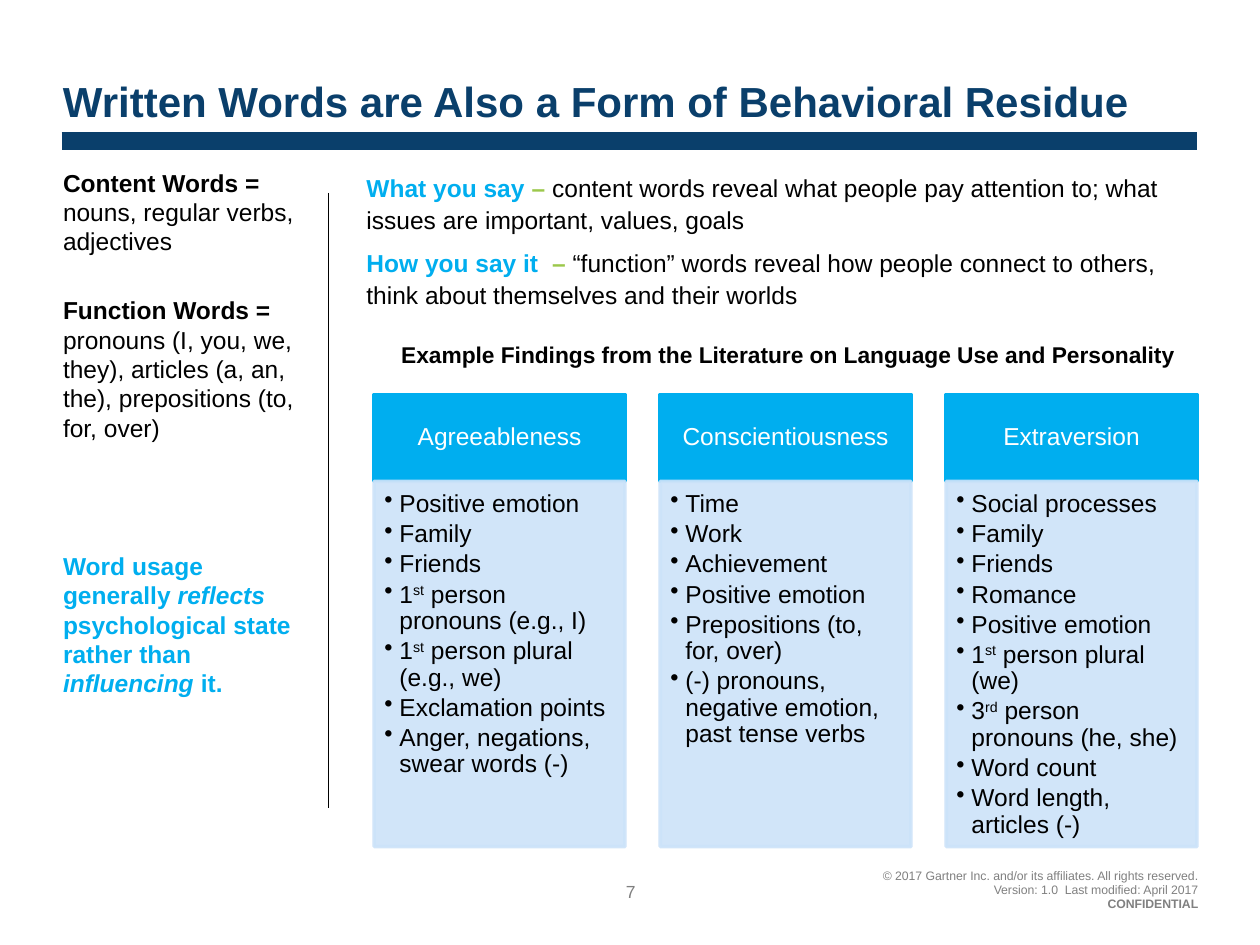
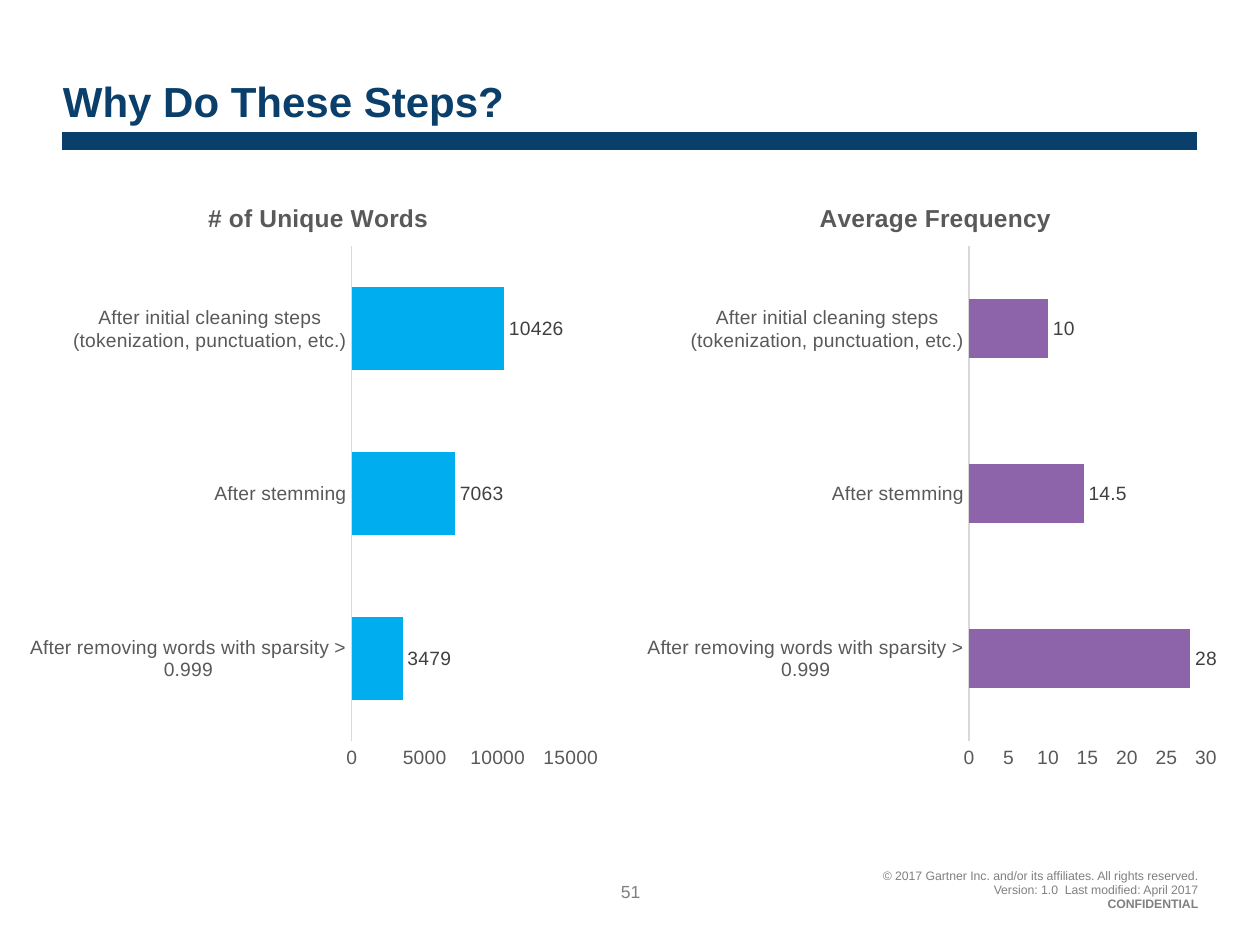
from lxml import etree
from pptx import Presentation
from pptx.chart.data import CategoryChartData
from pptx.dml.color import RGBColor
from pptx.enum.chart import XL_CHART_TYPE, XL_LABEL_POSITION, XL_TICK_MARK
from pptx.enum.shapes import MSO_CONNECTOR, MSO_SHAPE
from pptx.enum.text import MSO_ANCHOR, PP_ALIGN
from pptx.oxml import parse_xml
from pptx.oxml.ns import nsdecls, qn
from pptx.util import Inches, Pt

FONT = "Arial"
NAVY, CYAN, GREEN, PURPLE = "0A3F6B", "00AEEF", "9CC84B", "8D64AA"
PALE_BLUE, BLACK, WHITE = "CCE3F9", "000000", "FFFFFF"
GREY, PAGE_GREY, AXIS_GREY = "808080", "7F7F7F", "595959"
LABEL_GREY, RULE_GREY = "404040", "D9D9D9"

BOLD = {"bold": True}
ACCENT = {"bold": True, "color": CYAN}
ACCENT_ITALIC = {**ACCENT, "italic": True}
DASH = {"bold": True, "color": GREEN}
RAISED = {"raised": True}

TRAITS = [
    ("Agreeableness", [
        "Positive emotion", "Family", "Friends",
        [("1", {}), ("st", RAISED), (" person pronouns (e.g., I)", {})],
        [("1", {}), ("st", RAISED), (" person plural (e.g., we)", {})],
        "Exclamation points", "Anger, negations, swear words (-)"]),
    ("Conscientiousness", [
        "Time", "Work", "Achievement", "Positive emotion",
        "Prepositions (to, for, over)",
        "(-) pronouns, negative emotion, past tense verbs"]),
    ("Extraversion", [
        "Social processes", "Family", "Friends", "Romance", "Positive emotion",
        [("1", {}), ("st", RAISED), (" person plural (we)", {})],
        [("3", {}), ("rd", RAISED), (" person pronouns (he, she)", {})],
        "Word count", "Word length, articles (-)"]),
]

STEPS = ["After removing words with sparsity > 0.999", "After stemming",
         "After initial cleaning steps (tokenization, punctuation, etc.)"]


def rgb(color):
    """Turn a hex string into a colour."""
    return RGBColor.from_string(color)


def style_font(font, size, color, bold=False, italic=False):
    """Set the face, size, colour and emphasis of a font."""
    font.name, font.size = FONT, Pt(size)
    font.bold, font.italic = bold, italic
    font.color.rgb = rgb(color)


def add_runs(paragraph, content, size, color):
    """Fill a paragraph from a string or a list of (text, style) pairs."""
    pieces = [(content, {})] if isinstance(content, str) else content
    for text, style in pieces:
        run = paragraph.add_run()
        run.text = text
        style_font(run.font, size, style.get("color", color),
                   style.get("bold", False), style.get("italic", False))
        if style.get("raised"):
            run._r.get_or_add_rPr().set("baseline", "30000")


def add_bullet(paragraph, indent):
    """Give a paragraph a hanging round bullet."""
    properties = paragraph._p.get_or_add_pPr()
    properties.set("marL", str(Inches(indent)))
    properties.set("indent", str(-Inches(indent)))
    etree.SubElement(properties, qn("a:buChar")).set("char", "•")


def fill_text(shape, contents, size, color, margins=(0, 0, 0, 0),
              anchor=MSO_ANCHOR.TOP, align=PP_ALIGN.LEFT, line_spacing=None,
              before=(), after=0, bullets=False):
    """Write paragraphs into a shape, with optional spacing before each one."""
    frame = shape.text_frame
    frame.word_wrap, frame.vertical_anchor = True, anchor
    (frame.margin_left, frame.margin_top,
     frame.margin_right, frame.margin_bottom) = map(Inches, margins)
    for index, content in enumerate(contents):
        paragraph = frame.add_paragraph() if index else frame.paragraphs[0]
        if bullets:
            add_bullet(paragraph, 0.12)
        paragraph.alignment = align
        paragraph.line_spacing = line_spacing
        paragraph.space_after = Pt(after)
        if index and before:
            paragraph.space_before = Pt(before[index])
        add_runs(paragraph, content, size, color)
    return frame


def add_text(slide, box, contents, size, color, **options):
    """Add a text box at (left, top, width, height)."""
    shape = slide.shapes.add_textbox(*map(Inches, box))
    return fill_text(shape, contents, size, color, **options)


def add_line(slide, start, end, color, width):
    """Add a straight line without shadow."""
    line = slide.shapes.add_connector(
        MSO_CONNECTOR.STRAIGHT, *map(Inches, (*start, *end)))
    line.line.color.rgb = rgb(color)
    line.line.width = Pt(width)
    etree.SubElement(line._element.spPr, qn("a:effectLst"))


def add_panel(slide, box, color, opacity=100):
    """Add a rectangle whose fill and outline share one colour."""
    panel = slide.shapes.add_shape(MSO_SHAPE.RECTANGLE, *map(Inches, box))
    panel.shadow.inherit = False
    panel.fill.solid()
    panel.fill.fore_color.rgb = rgb(color)
    panel.line.color.rgb = rgb(color)
    panel.line.width = Pt(2)
    if opacity < 100:
        for element in panel._element.spPr.iter(qn("a:srgbClr")):
            etree.SubElement(element, qn("a:alpha")).set("val", str(opacity * 1000))
    return panel


def add_base_slide(presentation, title, number):
    """Add a slide with the title, band, page number and footer."""
    slide = presentation.slides.add_slide(presentation.slide_layouts[6])
    add_line(slide, (0.49, 1.12), (9.5, 1.12), NAVY, 10.25)
    add_text(slide, (0.5, 0.4, 9, 0.65), [[(title, BOLD)]], 24, NAVY,
             margins=(0, 0.05, 0.1, 0.05), anchor=MSO_ANCHOR.BOTTOM)
    add_text(slide, (4.81, 7.03, 0.39, 0.15), [str(number)], 10, PAGE_GREY,
             align=PP_ALIGN.CENTER, line_spacing=Pt(9))
    add_text(slide, (4.51, 6.88, 5, 0.35),
             [[("© 2017 Gartner Inc. and/or its affiliates. All rights reserved.",
                {"color": PAGE_GREY})],
              "Version: 1.0  Last modified: April 2017",
              [("CONFIDENTIAL", BOLD)]],
             7, GREY, anchor=MSO_ANCHOR.BOTTOM, align=PP_ALIGN.RIGHT,
             line_spacing=Pt(8))
    return slide


def add_trait_card(slide, left, trait, findings):
    """Add a trait header above its bulleted findings."""
    header = add_panel(slide, (left, 3.13, 1.99, 0.69), CYAN)
    fill_text(header, [trait], 14, WHITE, margins=(0.11, 0.06, 0.11, 0.06),
              anchor=MSO_ANCHOR.MIDDLE, align=PP_ALIGN.CENTER, line_spacing=0.9)
    body = add_panel(slide, (left, 3.82, 1.99, 2.9), PALE_BLUE, 90)
    fill_text(body, findings, 14, BLACK, margins=(0.08, 0.08, 0.11, 0.12),
              line_spacing=0.9, after=2.1, bullets=True)


def place(element, target, **position):
    """Give a chart title or plot area a fixed place, in shares of the chart."""
    for layout in element.findall(qn("c:layout")):
        element.remove(layout)
    modes = '<c:layoutTarget val="inner"/>' if target == "inner" else ""
    modes += "".join(f'<c:{key}Mode val="edge"/>' for key in "xy")
    values = "".join(f'<c:{key} val="{value}"/>' for key, value in position.items())
    layout = parse_xml(f'<c:layout {nsdecls("c")}><c:manualLayout>{modes}{values}'
                       '</c:manualLayout></c:layout>')
    element.insert(1 if target == "title" else 0, layout)


def style_axis(axis):
    """Apply the plain axis style."""
    axis.has_major_gridlines = False
    axis.major_tick_mark = axis.minor_tick_mark = XL_TICK_MARK.NONE
    style_font(axis.tick_labels.font, 11, AXIS_GREY)


def add_step_chart(slide, left, title, values, color, gap, maximum, unit,
                   title_left, plot_width):
    """Add a bar chart of one measure after each cleaning step."""
    data = CategoryChartData()
    data.categories = STEPS
    data.add_series("Series 1", values)
    chart = slide.shapes.add_chart(
        XL_CHART_TYPE.BAR_CLUSTERED,
        *map(Inches, (left, 1.38, 4.7, 4.79)), data).chart
    style_font(chart.font, 10, BLACK)
    chart.has_legend = False
    chart.has_title = True
    heading = chart.chart_title.text_frame.paragraphs[0]
    add_runs(heading, [(title, BOLD)], 14, AXIS_GREY)
    place(chart.chart_title._element, "title", x=title_left, y=0.04)
    place(chart._chartSpace.chart.plotArea, "inner",
          x=0.56, y=0.12, w=plot_width, h=0.82)

    style_axis(chart.category_axis)
    chart.category_axis.format.line.color.rgb = rgb(RULE_GREY)
    chart.category_axis.format.line.width = Pt(0.75)
    value_axis = chart.value_axis
    style_axis(value_axis)
    value_axis.format.line.fill.background()
    value_axis.minimum_scale, value_axis.maximum_scale = 0, maximum
    value_axis.major_unit = unit

    plot = chart.plots[0]
    plot.gap_width, plot.vary_by_categories = gap, False
    fill = plot.series[0].format.fill
    fill.solid()
    fill.fore_color.rgb = rgb(color)
    plot.has_data_labels = True
    labels = plot.data_labels
    labels.show_value, labels.position = True, XL_LABEL_POSITION.OUTSIDE_END
    style_font(labels.font, 11, LABEL_GREY)


def build_residue_slide(presentation):
    """Build the slide on content words, function words and traits."""
    slide = add_base_slide(
        presentation, "Written Words are Also a Form of Behavioral Residue", 7)
    add_text(slide, (0.5, 1.33, 1.92, 5.45), [
        [("Content Words = ", BOLD), ("nouns, regular verbs, adjectives", {})],
        [("Function Words = ", BOLD),
         ("pronouns (I, you, we, they), articles (a, an, the), "
          "prepositions (to, for, over)", {})],
        [("Word usage generally ", ACCENT), ("reflects", ACCENT_ITALIC),
         (" psychological state rather than ", ACCENT),
         ("influencing", ACCENT_ITALIC), (" it.", ACCENT)],
    ], 14, BLACK, margins=(0, 0, 0, 0.05), before=(0, 22.5, 62))
    frame = add_text(slide, (2.81, 1.3, 6.88, 6.18), [
        [("What you say ", ACCENT), ("– ", DASH),
         ("content words reveal what people pay attention to; "
          "what issues are important, values, goals", {})],
        [("How you say it  ", ACCENT), ("– ", DASH),
         ("“function” words reveal how people connect to others, "
          "think about themselves and their worlds", {})],
        [("Example Findings from the Literature on Language Use and Personality",
          BOLD)],
    ], 14, BLACK, margins=(0.1, 0.05, 0.1, 0.05), line_spacing=1.1,
        before=(0, 6, 16))
    caption = frame.paragraphs[-1]
    caption.alignment = PP_ALIGN.CENTER
    caption.runs[0].font.size = Pt(13)
    for index, (trait, findings) in enumerate(TRAITS):
        add_trait_card(slide, 2.97 + 2.27 * index, trait, findings)
    add_line(slide, (2.61, 1.53), (2.61, 6.41), BLACK, 0.5)


def build_steps_slide(presentation):
    """Build the slide that compares the cleaning steps."""
    slide = add_base_slide(presentation, "Why Do These Steps?", 51)
    add_step_chart(slide, 0.16, "# of Unique Words", (3479, 7063, 10426), CYAN,
                   gap=100, maximum=15000, unit=5000,
                   title_left=0.31, plot_width=0.37)
    add_step_chart(slide, 5.06, "Average Frequency", (28, 14.5, 10), PURPLE,
                   gap=182, maximum=30, unit=5,
                   title_left=0.3, plot_width=0.4)


def main():
    """Build and save the presentation."""
    presentation = Presentation()
    presentation.slide_width, presentation.slide_height = Inches(10), Inches(7.5)
    build_residue_slide(presentation)
    build_steps_slide(presentation)
    presentation.save("out.pptx")


if __name__ == "__main__":
    main()
